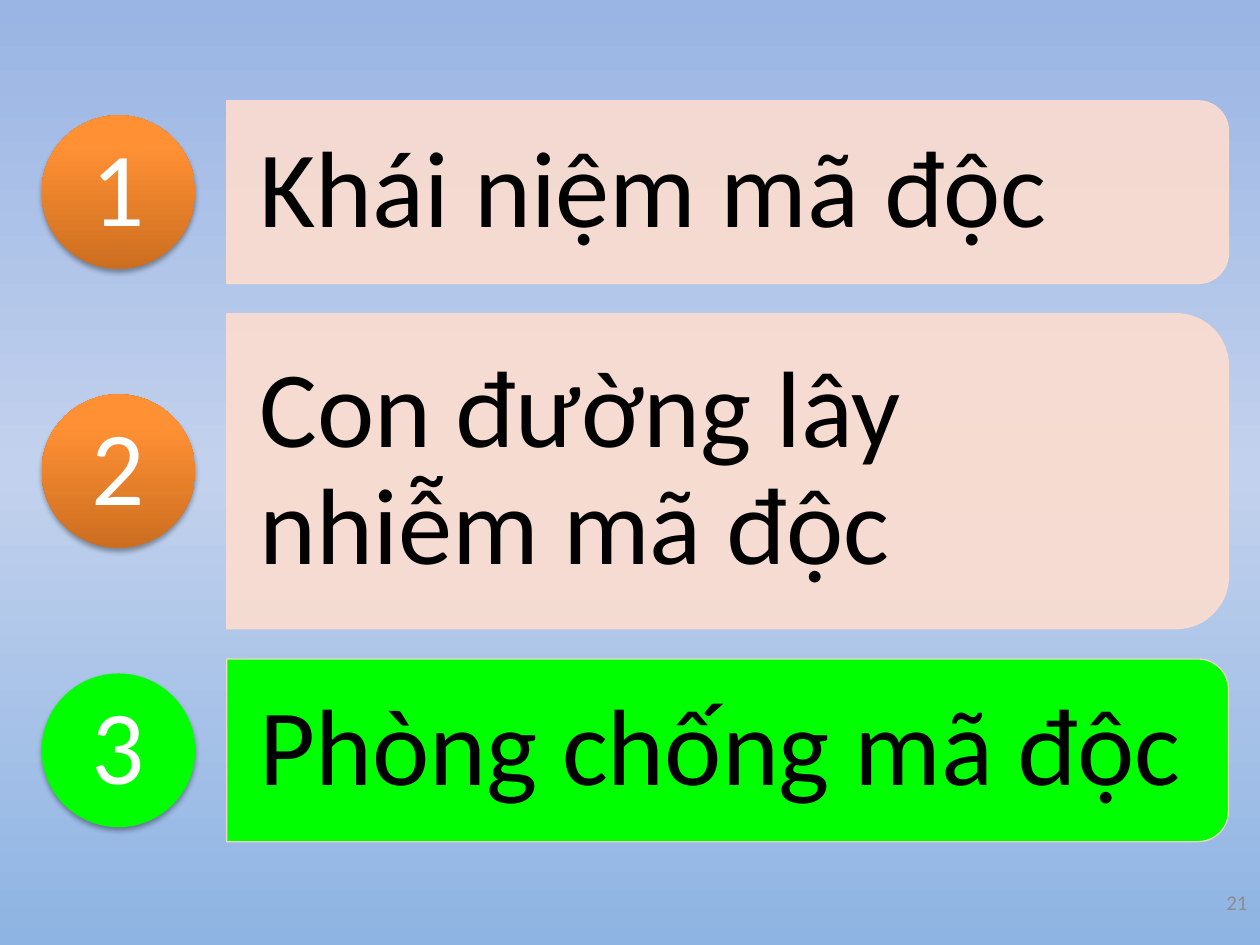
"""Build the three-part agenda slide with its third topic highlighted."""
from copy import deepcopy

from lxml.etree import SubElement
from pptx import Presentation
from pptx.dml.color import RGBColor
from pptx.enum.shapes import MSO_SHAPE as Shape
from pptx.enum.text import MSO_ANCHOR as Anchor, PP_ALIGN as Align
from pptx.oxml.ns import qn
from pptx.util import Inches, Pt

COLORS = {
    "sky_top": "9AB5E4", "sky_middle": "C2D1ED", "sky_bottom": "8EB4E3",
    "bar": "FCDDCF", "highlight": "00FF00",
    "orange_dark": "CC6E20", "orange": "FF9034", "orange_light": "FF9136",
    "topic": "000000", "number": "FFFFFF", "page": "8C8C8C", "shadow": "000000",
}
SKY = [(0, "sky_top"), (0.5, "sky_middle"), (1, "sky_bottom")]
ORANGE = [(0, "orange_dark"), (0.8, "orange"), (1, "orange_light")]
TOPICS = [
    ("Khái niệm mã độc", 1.45, False),
    ("Con đường lây nhiễm mã độc", 2.5, False),
    ("Phòng chống mã độc", 1.45, True),
]
BAR_LEFT, BAR_WIDTH, GAP = 1.8, 7.95, 0.24
CIRCLE_LEFT, CIRCLE_SIZE = 0.33, 1.22
CORNER_INSET = 0.05


def set_gradient(fill, element, stops, angle):
    fill.gradient()
    fill.gradient_angle = angle
    stop_list = next(element.iter(qn("a:gsLst")))
    stop_list.append(deepcopy(stop_list[-1]))
    for stop, (position, color) in zip(fill.gradient_stops, stops):
        stop.position = position
        stop.color.rgb = RGBColor.from_string(COLORS[color])


def write_text(shape, text, size, color, align, margins, spacing):
    frame = shape.text_frame
    frame.word_wrap = True
    frame.vertical_anchor = Anchor.MIDDLE
    for side, margin in zip(("left", "top", "right", "bottom"), margins):
        setattr(frame, f"margin_{side}", Inches(margin))
    paragraph = frame.paragraphs[0]
    paragraph.text = text
    paragraph.alignment = align
    paragraph.line_spacing = spacing
    font = paragraph.runs[0].font
    for name, value in {"name": "Calibri", "size": Pt(size)}.items():
        setattr(font, name, value)
    font.color.rgb = RGBColor.from_string(COLORS[color])


presentation = Presentation()
presentation.slide_width = Inches(10)
presentation.slide_height = Inches(7.5)
slide = presentation.slides.add_slide(presentation.slide_layouts[6])
set_gradient(slide.background.fill, slide.element, SKY, 270)

page = slide.shapes.add_textbox(Inches(9.33), Inches(6.82), Inches(0.67), Inches(0.68))
write_text(page, "21", 12, "page", Align.RIGHT, (0.1, 0.05, 0.1, 0.05), 1.0)

top = 0.8
for number, (topic, height, highlighted) in enumerate(TOPICS, 1):
    middle = top + height / 2
    bar = slide.shapes.add_shape(
        Shape.ROUND_2_SAME_RECTANGLE,
        Inches(BAR_LEFT + (BAR_WIDTH - height) / 2), Inches(middle - BAR_WIDTH / 2),
        Inches(height), Inches(BAR_WIDTH))
    bar.rotation = 90
    bar.shadow.inherit = False
    bar.fill.solid()
    bar.fill.fore_color.rgb = RGBColor.from_string(COLORS["highlight" if highlighted else "bar"])
    bar.line.color.rgb = RGBColor.from_string(COLORS["bar"])
    bar.line.width = Pt(0.75)
    for color in bar.element.iter(qn("a:srgbClr")):
        if color.get("val") == COLORS["bar"]:
            SubElement(color, qn("a:alpha"), val="90000")

    inset = CORNER_INSET * height
    label = slide.shapes.add_textbox(
        Inches(BAR_LEFT), Inches(top + inset),
        Inches(BAR_WIDTH - inset), Inches(height - 2 * inset))
    write_text(label, topic, 62, "topic", Align.LEFT, (0.26, 0.17, 0.26, 0.17), 0.9)

    circle = slide.shapes.add_shape(
        Shape.OVAL, Inches(CIRCLE_LEFT), Inches(middle - CIRCLE_SIZE / 2),
        Inches(CIRCLE_SIZE), Inches(CIRCLE_SIZE))
    circle.line.fill.background()
    if highlighted:
        circle.fill.solid()
        circle.fill.fore_color.rgb = RGBColor.from_string(COLORS["highlight"])
    else:
        set_gradient(circle.fill, circle.element, ORANGE, 90)
    circle.shadow.inherit = False
    effects = next(circle.element.iter(qn("a:effectLst")))
    shadow = SubElement(effects, qn("a:outerShdw"), blurRad=str(Pt(3.1)),
                        dist=str(Pt(1.8)), dir="5400000", rotWithShape="0")
    shadow_color = SubElement(shadow, qn("a:srgbClr"), val=COLORS["shadow"])
    SubElement(shadow_color, qn("a:alpha"), val="35000")
    write_text(circle, str(number), 60, "number", Align.CENTER, (0, 0, 0, 0), 0.9)
    top += height + GAP

presentation.save("out.pptx")
